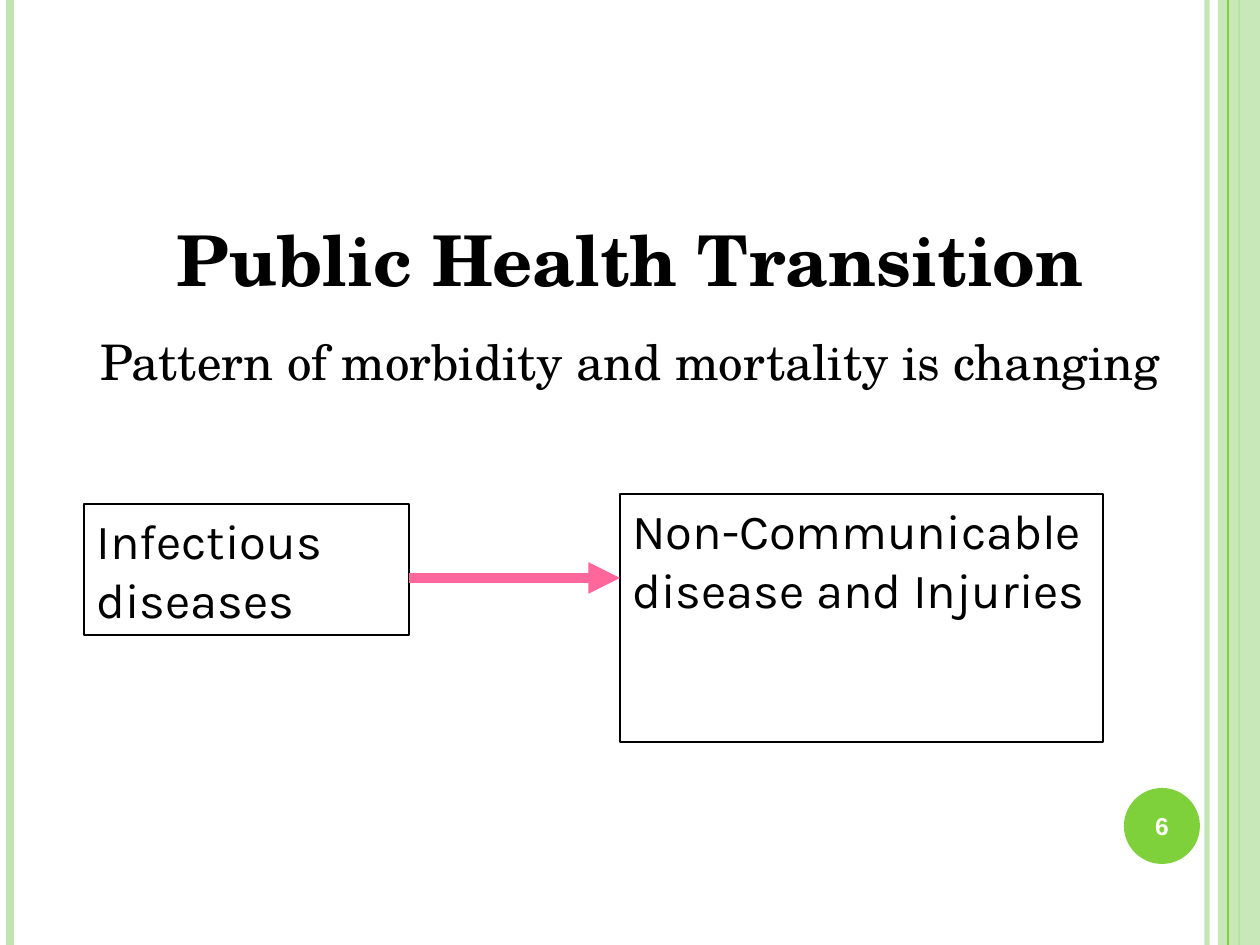
from lxml import etree
from pptx import Presentation
from pptx.dml.color import RGBColor
from pptx.enum.shapes import MSO_CONNECTOR, MSO_SHAPE
from pptx.enum.text import MSO_ANCHOR, MSO_AUTO_SIZE, PP_ALIGN
from pptx.oxml.ns import qn
from pptx.util import Pt

LINE = MSO_CONNECTOR.STRAIGHT
RECT, OVAL = MSO_SHAPE.RECTANGLE, MSO_SHAPE.OVAL
TOP, MIDDLE = MSO_ANCHOR.TOP, MSO_ANCHOR.MIDDLE
LEFT, CENTER = PP_ALIGN.LEFT, PP_ALIGN.CENTER
FIXED = MSO_AUTO_SIZE.NONE

BLACK = RGBColor(0x00, 0x00, 0x00)
WHITE = RGBColor(0xFF, 0xFF, 0xFF)
GREEN = RGBColor(0x7F, 0xD1, 0x3B)
PALE = RGBColor(0xC0, 0xE5, 0xAF)
PINK = RGBColor(0xFF, 0x66, 0x99)

SERIF, SANS, PLAIN = "TeX Gyre Schola", "Karla", "Arial"
WIDTH, HEIGHT = 1260, 945
SCALE = 914400 / 126


def px(*sizes):
    return [round(size * SCALE) for size in sizes]


def fade(part, percent):
    """Set the opacity of the first solid colour in a part."""
    color = next(part._element.spPr.iter(qn("a:srgbClr")))
    etree.SubElement(color, qn("a:alpha")).set("val", str(percent * 1000))


def add_line(slide, start, end, color, width):
    line = slide.shapes.add_connector(LINE, *px(*start, *end))
    line.line.color.rgb = color
    line.line.width = Pt(width)
    etree.SubElement(line._element.spPr, qn("a:effectLst"))
    return line


def add_shape(slide, kind, box, fill=None):
    shape = slide.shapes.add_shape(kind, *px(*box))
    shape.shadow.inherit = False
    if fill is None:
        shape.fill.background()
        shape.line.color.rgb = BLACK
        shape.line.width = Pt(0.75)
    else:
        shape.fill.solid()
        shape.fill.fore_color.rgb = fill
        shape.line.fill.background()
    return shape


def write(shape, text, size, face, color=BLACK, bold=False,
          align=CENTER, anchor=TOP):
    frame = shape.text_frame
    frame.word_wrap = True
    frame.auto_size = FIXED
    frame.vertical_anchor = anchor
    frame.text = text
    para = frame.paragraphs[0]
    para.alignment = align
    font = para.font
    font.size, font.name, font.bold = Pt(size), face, bold
    font.color.rgb = color


def add_frame(slide, box):
    """Draw the stripes down both sides of the slide."""
    left, top, width, height = box
    right, foot = left + width, top + height

    def stripe(x, color, size):
        return add_line(slide, (x, top), (x, foot), color, size)

    fade(stripe(right - 53, PALE, 3), 93)
    stripe(left + 10, PALE, 4.5)
    stripe(right - 21, GREEN, 1.5)
    fade(add_shape(slide, RECT, (right - 42, top, 42, height), PALE), 87)
    stripe(right - 32, GREEN, 0.75)


def add_badge(slide, box, number):
    """Draw the slide number on a disc."""
    left, top, width, height = box
    add_shape(slide, OVAL, box, GREEN)
    label = slide.shapes.add_textbox(
        *px(left - 4, top + 2, width + 8, height - 4))
    write(label, number, 14, PLAIN, WHITE, True, anchor=MIDDLE)


def add_head(slide, box):
    """Place the title and the line below it."""
    left, top, width, height = box
    title = slide.shapes.title
    title.left, title.top, title.width, title.height = px(
        left + 84, top, width - 168, 97)
    write(title, "Public Health Transition", 40, SERIF, bold=True)
    sub = slide.shapes.add_textbox(*px(left, top + height - 72, width, 72))
    write(sub, "Pattern of morbidity and mortality is changing", 28, SERIF)


def add_flow(slide, box):
    """Draw the two disease groups and the arrow between them."""
    left, top, width, height = box
    before = (left, top + 10, 325, 131)
    after = (left + width - 483, top, 483, height)
    groups = [(before, "Infectious diseases"),
              (after, "Non-Communicable disease and Injuries")]
    for place, text in groups:
        write(add_shape(slide, RECT, place), text, 28, SANS, align=LEFT)
    mid = top + 84
    arrow = add_line(slide, (left + 325, mid), (after[0], mid), PINK, 6)
    tail = etree.SubElement(arrow.line._get_or_add_ln(), qn("a:tailEnd"))
    tail.set("type", "triangle")


def main():
    deck = Presentation()
    deck.slide_width, deck.slide_height = px(WIDTH, HEIGHT)
    slide = deck.slides.add_slide(deck.slide_layouts[5])
    add_frame(slide, (0, 0, WIDTH, HEIGHT))
    add_badge(slide, (1124, 788, 76, 76), "6")
    add_head(slide, (0, 210, WIDTH, 187))
    add_flow(slide, (84, 494, 1019, 248))
    deck.save("out.pptx")


if __name__ == "__main__":
    main()
